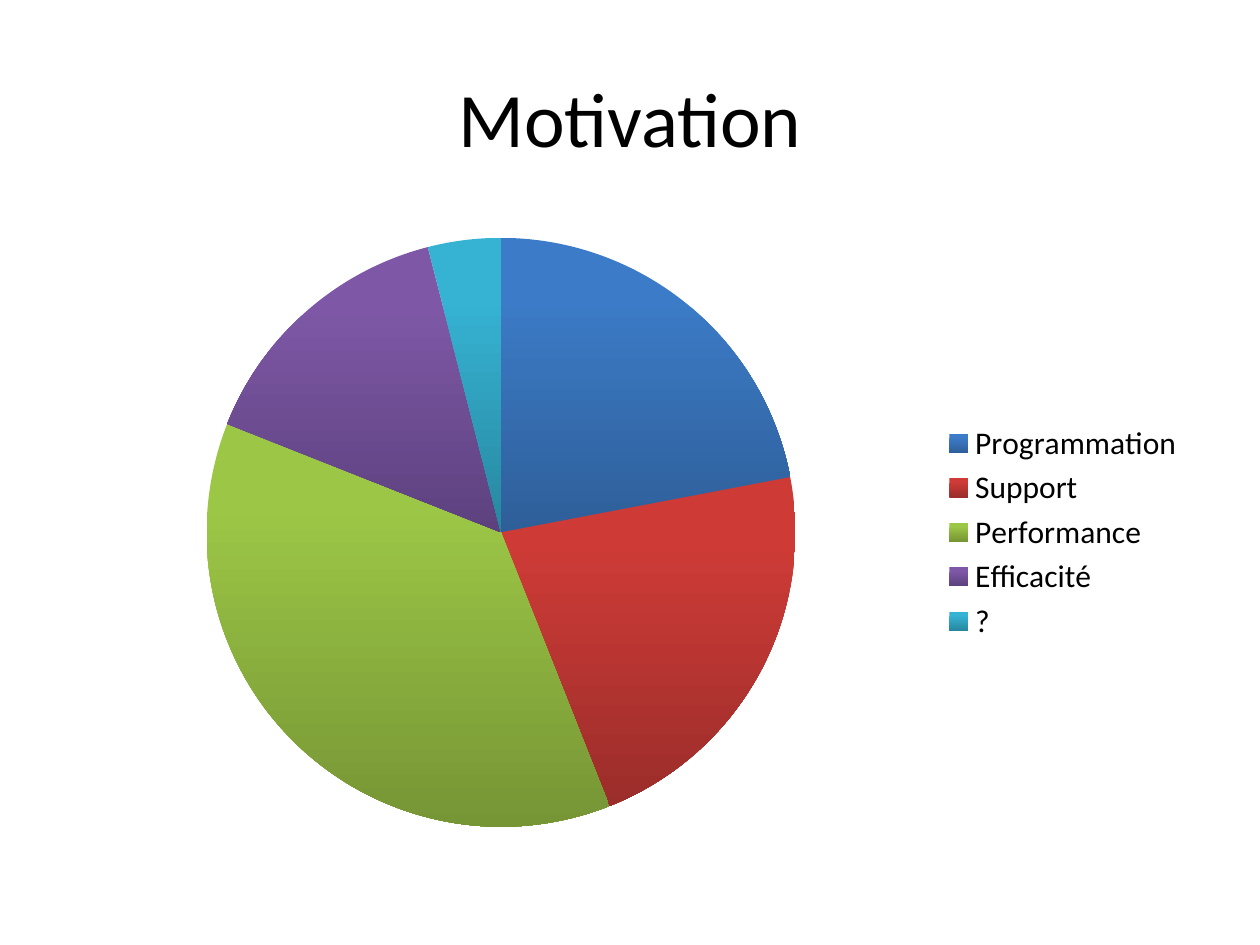
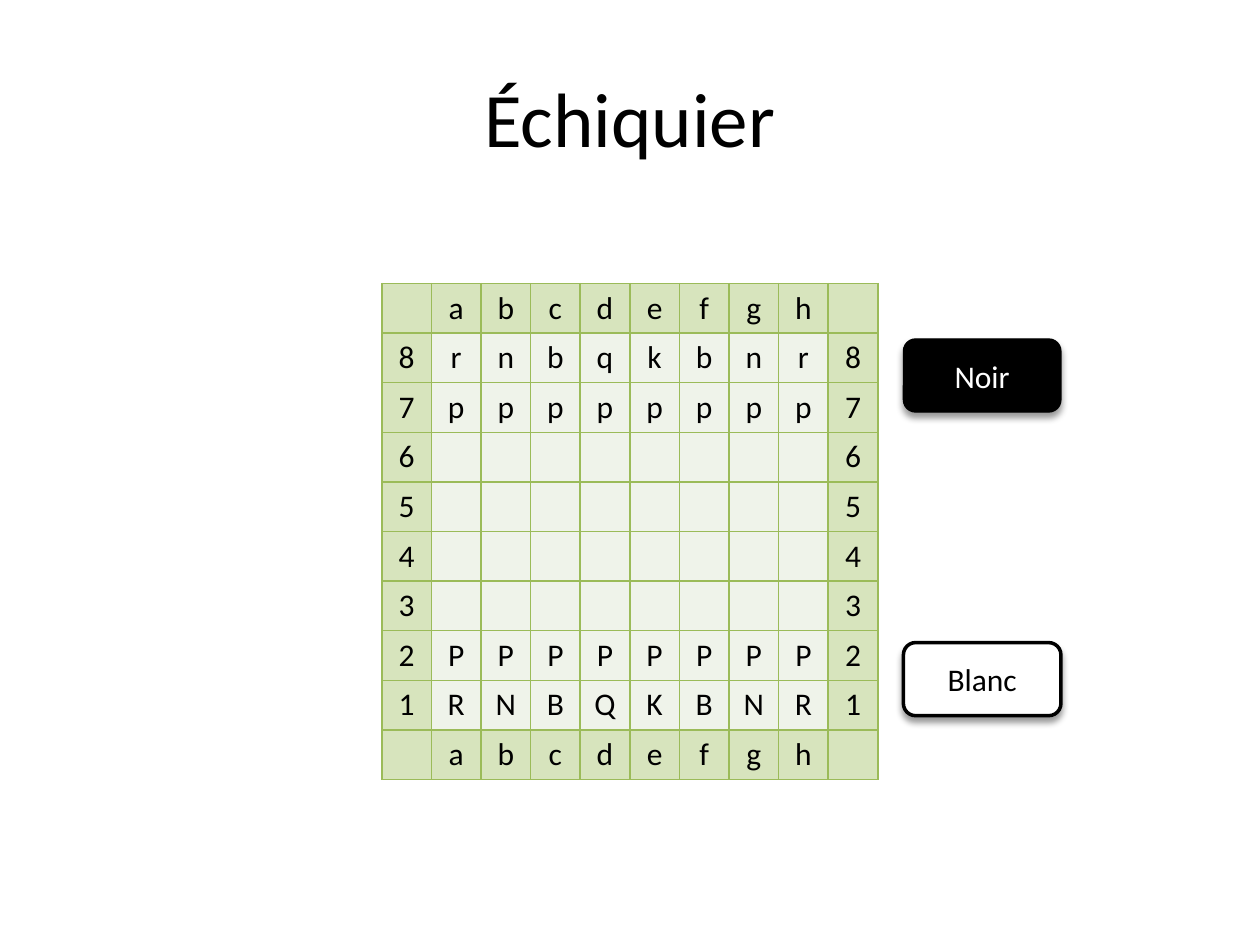
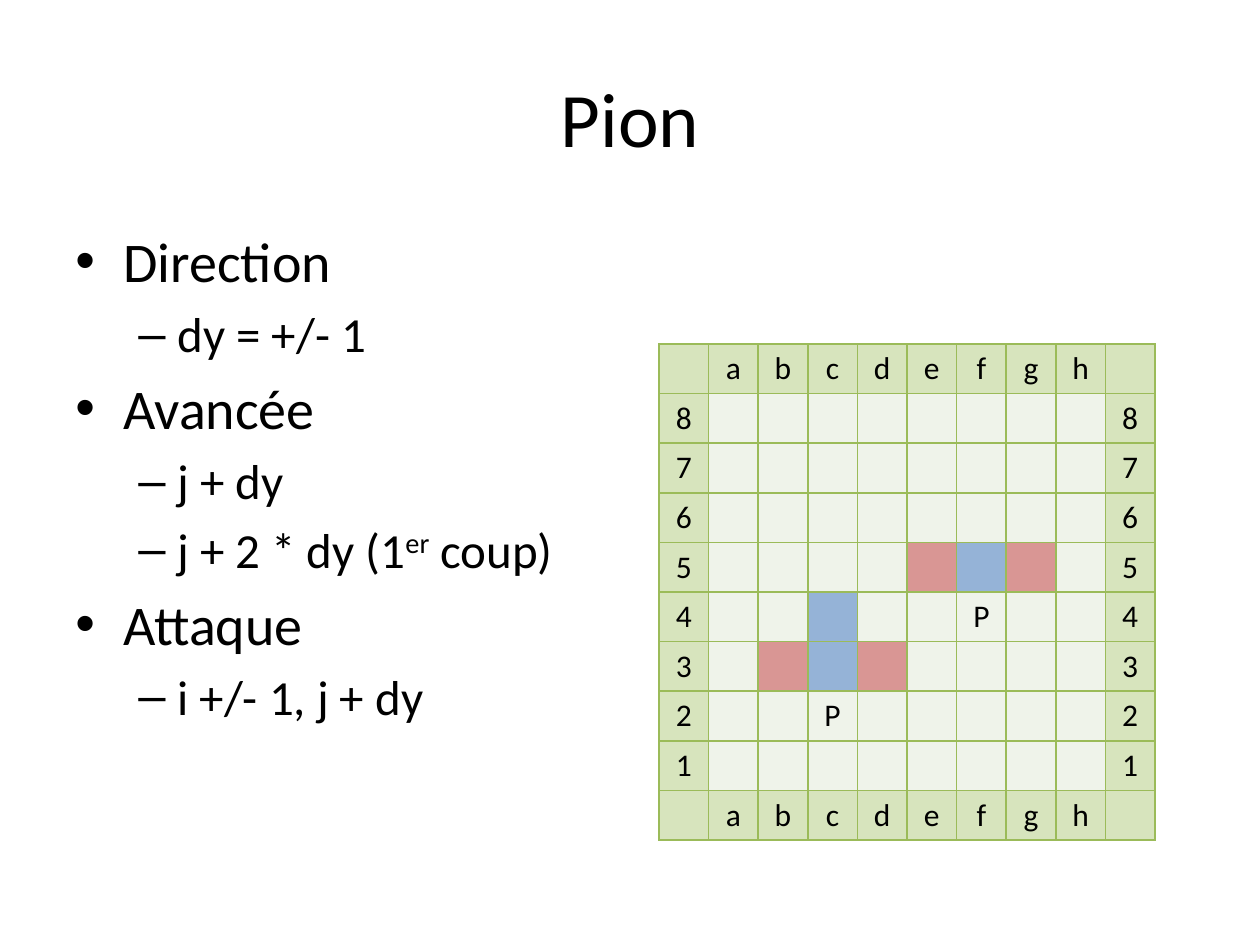
from lxml import etree
from pptx import Presentation
from pptx import util as u
from pptx.chart.data import CategoryChartData
from pptx.dml.color import RGBColor
from pptx.enum import chart as ch, shapes, text
from pptx.oxml import parse_xml
from pptx.oxml.ns import qn

FONT, INK, WHITE = "Calibri", "000000", "FFFFFF"
RIM, FIELD, GRID = "D7E4BD", "EFF3EA", "9BBB59"
NS = 'xmlns:a="http://schemas.openxmlformats.org/drawingml/2006/main"'
BODY = (0.5, 1.75, 9, 4.95)
SIDE = 3.94

SHARES = [
    ("Programmation", 22, "3C7BC7", "2E5F99"),
    ("Support", 22, "CE3B37", "9B2D2A"),
    ("Performance", 37, "9CC746", "769535"),
    ("Efficacité", 15, "7E58A6", "5D417E"),
    ("?", 4, "36B3D3", "2787A0"),
]
FILES = "abcdefgh"
START = {8: "rnbqkbnr", 7: "p" * 8, 2: "P" * 8, 1: "RNBQKBNR"}
SETUP = {f + str(r): man for r, men in START.items() for f, man in zip(FILES, men)}
PAWNS = {"c2": "P", "f4": "P"}
MOVES = {"95B3D7": ["f5", "c4", "c3"], "D99694": ["e5", "g5", "b3", "d3"]}
TINTS = {sq: tint for tint, squares in MOVES.items() for sq in squares}
SIDES = [("Noir", 2.69, INK, WHITE, 0.75), ("Blanc", 5.1, WHITE, INK, 2)]
RULES = [
    (0, ["Direction"]),
    (1, ["dy = +/- 1"]),
    (0, ["Avancée"]),
    (1, ["j + dy"]),
    (1, ["j + 2 * dy (1", "^er", " coup)"]),
    (0, ["Attaque"]),
    (1, ["i +/- 1, j + dy"]),
]
LEVELS = [(32, "•", 0.38, 0.38), (28, "–", 0.81, 0.31)]


def rgb(code):
    return RGBColor.from_string(code)


def box(*dims):
    return [u.Inches(d) for d in dims]


def paint(obj, code):
    obj.fill.solid()
    obj.fill.fore_color.rgb = rgb(code)


def style(font, size, code=INK):
    font.name, font.size = FONT, u.Pt(size)
    font.color.rgb = rgb(code)


def write(para, words, size, code=INK):
    run = para.add_run()
    run.text = words
    style(run.font, size, code)
    return run


def center(frame, words, size, code=INK):
    frame.vertical_anchor = text.MSO_ANCHOR.MIDDLE
    para = frame.paragraphs[0]
    para.alignment = text.PP_ALIGN.CENTER
    write(para, words, size, code)


def add_page(deck, title):
    page = deck.slides.add_slide(deck.slide_layouts[6])
    frame = page.shapes.add_textbox(*box(0.5, 0.3, 9, 1.25)).text_frame
    frame.word_wrap = True
    center(frame, title, 44)
    return page


def add_pie(page):
    data = CategoryChartData()
    data.categories = [row[0] for row in SHARES]
    data.add_series("Series 1", [row[1] for row in SHARES])
    pie = page.shapes.add_chart(ch.XL_CHART_TYPE.PIE, *box(*BODY), data).chart
    style(pie.font, 18)
    pie.has_title = False
    pie.has_legend = True
    pie.legend.position = ch.XL_LEGEND_POSITION.RIGHT
    pie.legend.include_in_layout = False
    plot = pie.plots[0]
    plot.vary_by_categories = True
    for i, (name, share, light, dark) in enumerate(SHARES):
        form = plot.series[0].points[i].format
        form.line.fill.background()
        form.fill.gradient()
        form.fill.gradient_angle = 270
        for stop, code, pos in zip(form.fill.gradient_stops, (light, dark), (0.2, 1)):
            stop.color.rgb = rgb(code)
            stop.position = pos


def edge(cell):
    props = cell._tc.get_or_add_tcPr()
    for i, tag in enumerate(("lnL", "lnR", "lnT", "lnB")):
        props.insert(i, parse_xml(
            f'<a:{tag} {NS} w="12700"><a:solidFill><a:srgbClr val="{GRID}"/>'
            f'</a:solidFill></a:{tag}>'))


def add_board(page, left, top, men, tints):
    board = page.shapes.add_table(10, 10, *box(left, top, SIDE, SIDE)).table
    board.first_row = board.horz_banding = False
    for line in [*board.columns]:
        line.width = u.Inches(SIDE / 10)
    for row in range(10):
        board.rows[row].height = u.Inches(SIDE / 10)
        rank = str(9 - row) if 0 < row < 9 else ""
        for col in range(10):
            name = FILES[col - 1] if 0 < col < 9 else ""
            square = name + rank
            inner = name and rank
            cell = board.cell(row, col)
            cell.margin_left = cell.margin_right = 0
            cell.margin_top = cell.margin_bottom = 0
            cell.vertical_anchor = text.MSO_ANCHOR.MIDDLE
            paint(cell, tints.get(square, FIELD) if inner else RIM)
            edge(cell)
            label = men.get(square, "") if inner else square
            if label:
                center(cell.text_frame, label, 18)


def add_side(page, name, top, fill, ink, width):
    tag = page.shapes.add_shape(
        shapes.MSO_SHAPE.ROUNDED_RECTANGLE, *box(7.17, top, 1.25, 0.58))
    tag.shadow.inherit = False
    paint(tag, fill)
    tag.line.color.rgb = rgb(INK)
    tag.line.width = u.Pt(width)
    glow = tag._element.spPr.find(qn("a:effectLst"))
    glow.append(parse_xml(
        f'<a:outerShdw {NS} blurRad="50800" dist="38100" dir="5400000" rotWithShape="0">'
        f'<a:srgbClr val="{INK}"><a:alpha val="40000"/></a:srgbClr></a:outerShdw>'))
    center(tag.text_frame, name, 18, ink)


def add_rules(page):
    frame = page.shapes.add_textbox(*box(*BODY)).text_frame
    frame.word_wrap = True
    for i, (level, parts) in enumerate(RULES):
        size, mark, left, hang = LEVELS[level]
        para = frame.add_paragraph() if i else frame.paragraphs[0]
        para.level = level
        para.space_before = u.Pt(size * 0.2)
        props = para._p.get_or_add_pPr()
        props.set("marL", str(u.Inches(left)))
        props.set("indent", str(-u.Inches(hang)))
        etree.SubElement(props, qn("a:buFont")).set("typeface", "Arial")
        etree.SubElement(props, qn("a:buChar")).set("char", mark)
        for part in parts:
            run = write(para, part.lstrip("^"), size)
            if part.startswith("^"):
                run.font._element.set("baseline", "30000")


def main():
    deck = Presentation()
    deck.slide_width, deck.slide_height = box(10, 7.5)
    add_pie(add_page(deck, "Motivation"))
    page = add_page(deck, "Échiquier")
    for side in SIDES:
        add_side(page, *side)
    add_board(page, 3.03, 2.25, SETUP, {})
    page = add_page(deck, "Pion")
    add_board(page, 5.23, 2.73, PAWNS, TINTS)
    add_rules(page)
    deck.save("out.pptx")


if __name__ == "__main__":
    main()
